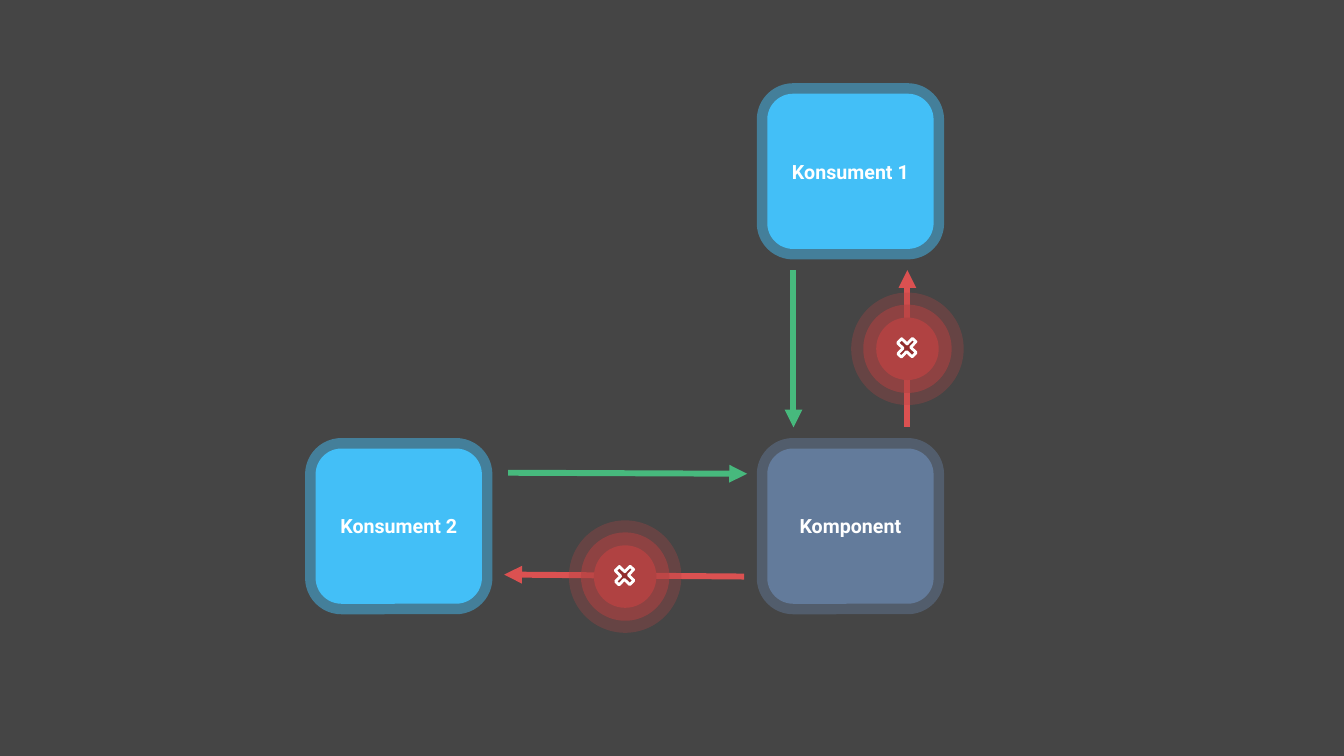
import pptx
import pptx.util
import pptx.dml.color
import pptx.enum.shapes
import pptx.enum.text
import pptx.oxml
import pptx.oxml.ns

Inches = pptx.util.Inches
RGBColor = pptx.dml.color.RGBColor
Shapes = pptx.enum.shapes.MSO_SHAPE

BACKGROUND = RGBColor(0x45, 0x45, 0x45)
SLATE = RGBColor(0x63, 0x7B, 0x9B)
SKY = RGBColor(0x43, 0xBF, 0xF7)
GREEN = RGBColor(0x47, 0xB9, 0x7D)
RED = RGBColor(0xDB, 0x51, 0x51)
BADGE_RED = RGBColor(0xB0, 0x42, 0x42)
CROSS_RED = RGBColor(0x92, 0x2E, 0x2E)
WHITE = RGBColor(0xFF, 0xFF, 0xFF)

NODE_WIDTH, NODE_HEIGHT = 1.65, 1.54
BADGE_SIZE = 0.62
LABEL_FORMAT = {"name": "Roboto", "size": pptx.util.Pt(14), "bold": True}


def add_xml(parent, tag, **attributes):
    """Append a DrawingML element with the given attributes."""
    element = pptx.oxml.parse_xml(f"<a:{tag} {pptx.oxml.ns.nsdecls('a')}/>")
    for name, value in attributes.items():
        element.set(name, value)
    parent.append(element)


def set_line(shape, color, width, opacity=100):
    """Give a shape a solid outline of the given opacity in percent."""
    shape.line.color.rgb = color
    shape.line.width = pptx.util.Pt(width)
    if opacity < 100:
        color_element = shape.line.fill._xPr.find(".//" + pptx.oxml.ns.qn("a:srgbClr"))
        add_xml(color_element, "alpha", val=str(opacity * 1000))


def add_preset(shapes, preset, left, top, width, height, fill=None):
    """Add a preset shape without shadow, filled or hollow."""
    shape = shapes.add_shape(preset, Inches(left), Inches(top), Inches(width), Inches(height))
    shape.shadow.inherit = False
    if fill is None:
        shape.fill.background()
    else:
        shape.fill.solid()
        shape.fill.fore_color.rgb = fill
    return shape


def add_node(slide, label, left, top, color, opacity):
    """Add a labelled rounded box with a translucent rim."""
    node = add_preset(slide.shapes, Shapes.ROUNDED_RECTANGLE, left, top, NODE_WIDTH, NODE_HEIGHT, color)
    set_line(node, color, 15, opacity)
    node.text_frame.word_wrap = True
    node.text_frame.vertical_anchor = pptx.enum.text.MSO_ANCHOR.MIDDLE
    paragraph = node.text_frame.paragraphs[0]
    paragraph.alignment = pptx.enum.text.PP_ALIGN.CENTER
    run = paragraph.add_run()
    run.text = label
    for name, value in LABEL_FORMAT.items():
        setattr(run.font, name, value)
    run.font.color.rgb = WHITE


def add_arrow(slide, start, end, color, arrow_end):
    """Add a straight arrow whose head sits at headEnd (start) or tailEnd (end)."""
    arrow = slide.shapes.add_connector(
        pptx.enum.shapes.MSO_CONNECTOR.STRAIGHT, *map(Inches, start + end))
    set_line(arrow, color, 4.25)
    add_xml(arrow.line._get_or_add_ln(), arrow_end, type="triangle")
    add_xml(arrow._element.spPr, "effectLst")


def add_blocked_badge(slide, left, top):
    """Add a red disc with two translucent rings and a cross."""
    shapes = slide.shapes.add_group_shape().shapes
    for fill, width, opacity in ((BADGE_RED, 18.5, 54), (None, 35.75, 31)):
        disc = add_preset(shapes, Shapes.OVAL, left, top, BADGE_SIZE, BADGE_SIZE, fill)
        set_line(disc, BADGE_RED, width, opacity)
    cross = add_preset(shapes, Shapes.CROSS, left + 0.2, top + 0.2, 0.21, 0.2, CROSS_RED)
    cross.adjustments[0] = 0.379
    cross.rotation = 313.5
    set_line(cross, WHITE, 2)


def build_dependency_slide(presentation):
    """Build the diagram of two consumers and one component."""
    slide = presentation.slides.add_slide(presentation.slide_layouts[6])
    slide.background.fill.solid()
    slide.background.fill.fore_color.rgb = BACKGROUND
    for node in (
        ("Komponent", 7.61, 4.45, SLATE, 46),
        ("Konsument 1", 7.61, 0.93, SKY, 48),
        ("Konsument 2", 3.13, 4.45, SKY, 48),
    ):
        add_node(slide, *node)
    for arrow in (
        ((5.04, 4.69), (7.41, 4.7), GREEN, "tailEnd"),
        ((9, 2.68), (9, 4.24), RED, "headEnd"),
        ((7.87, 2.68), (7.87, 4.24), GREEN, "tailEnd"),
        ((5, 5.7), (7.38, 5.72), RED, "headEnd"),
    ):
        add_arrow(slide, *arrow)
    for left, top in ((5.89, 5.41), (8.69, 3.15)):
        add_blocked_badge(slide, left, top)


def main():
    """Create the presentation and save it."""
    presentation = pptx.Presentation()
    presentation.slide_width = Inches(13.33)
    presentation.slide_height = Inches(7.5)
    build_dependency_slide(presentation)
    presentation.save("out.pptx")


if __name__ == "__main__":
    main()
